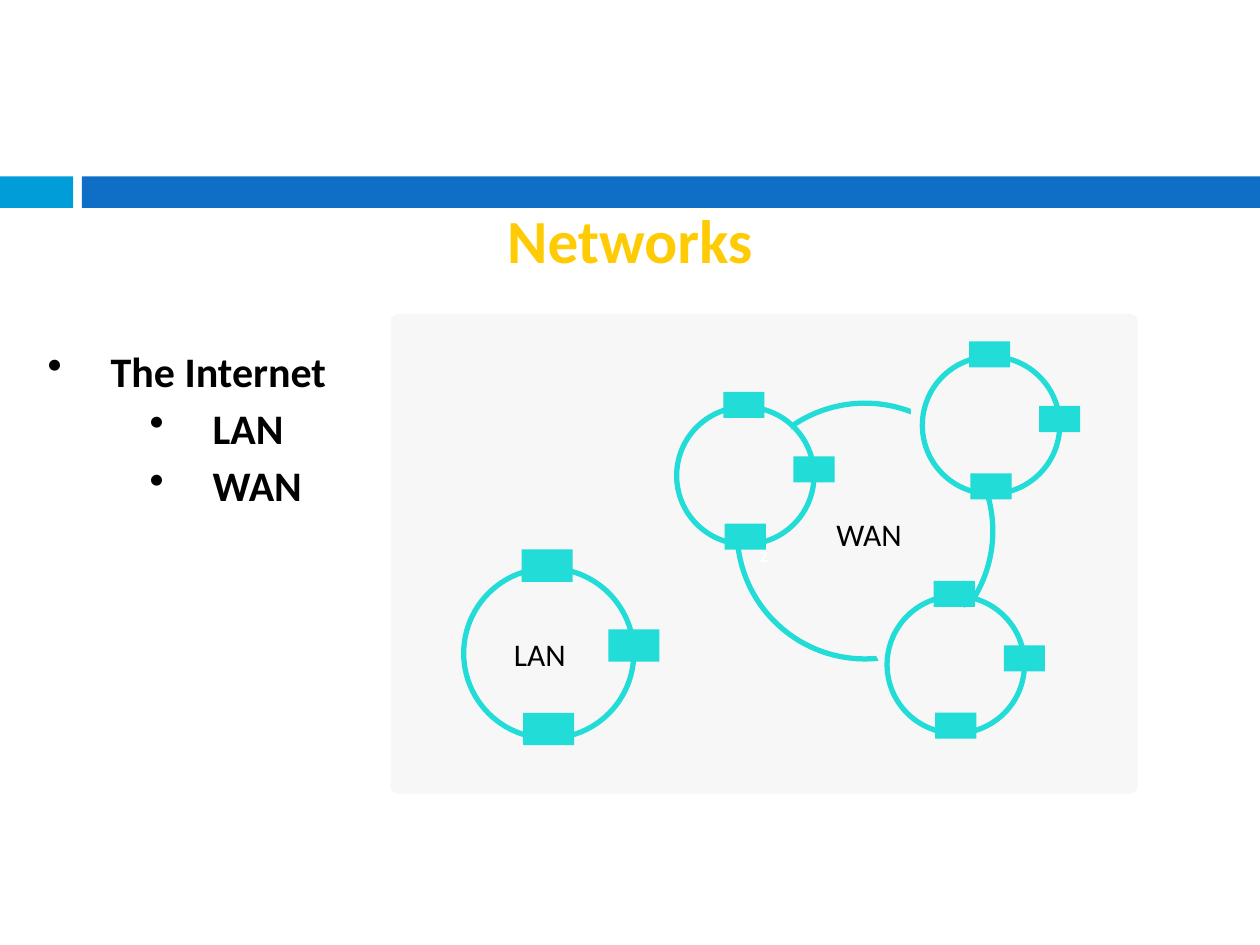
import pptx
import pptx.dml.color
import pptx.enum.shapes
import pptx.enum.text
import pptx.util
from lxml import etree
from pptx.dml.color import RGBColor
from pptx.util import Inches

SKY = RGBColor(0x00, 0x9D, 0xD9)
BLUE = RGBColor(0x0F, 0x6F, 0xC6)
GOLD = RGBColor(0xFF, 0xCB, 0x05)
PANEL = RGBColor(0xF7, 0xF7, 0xF7)
TURQUOISE = RGBColor(0x22, 0xDC, 0xD7)
BLACK = RGBColor(0x00, 0x00, 0x00)
WHITE = RGBColor(0xFF, 0xFF, 0xFF)

SHAPE = pptx.enum.shapes.MSO_SHAPE
ALIGN = pptx.enum.text.PP_ALIGN
ANCHOR = pptx.enum.text.MSO_ANCHOR


class NetworkSlide:
    """Draws styled elements on the current slide."""

    font_name = "Calibri"
    node_offsets = ((0.34, -0.11), (0.35, 0.85), (0.85, 0.36))
    node_size = (0.3, 0.19)

    def __init__(self, slide):
        self.slide = slide

    def style(self, paragraph, size, color, bold=False):
        for run in paragraph.runs:
            run.font.name = self.font_name
            run.font.size = pptx.util.Pt(size)
            run.font.bold = bold
            run.font.color.rgb = color

    def shape(self, kind, left, top, width, height, fill=None):
        shape = self.slide.shapes.add_shape(
            kind, Inches(left), Inches(top), Inches(width), Inches(height))
        shape.shadow.inherit = False
        shape.line.fill.background()
        if fill is None:
            shape.fill.background()
        else:
            shape.fill.solid()
            shape.fill.fore_color.rgb = fill
        return shape

    def bar(self, left, top, width, height, fill):
        return self.shape(SHAPE.RECTANGLE, left, top, width, height, fill)

    def panel(self, left, top, width, height, rotation=0):
        shape = self.shape(SHAPE.ROUNDED_RECTANGLE, left, top, width, height, PANEL)
        shape.adjustments[0] = 0.016
        shape.rotation = rotation
        return shape

    def circle(self, left, top, diameter):
        shape = self.shape(SHAPE.OVAL, left, top, diameter, diameter)
        shape.line.color.rgb = TURQUOISE
        shape.line.width = pptx.util.Pt(3)

    def ring(self, left, top, diameter):
        self.circle(left, top, diameter)
        width, height = (diameter * part for part in self.node_size)
        for across, down in self.node_offsets:
            self.bar(left + across * diameter, top + down * diameter,
                     width, height, TURQUOISE)

    def text(self, text, left, top, width, height, size, color, bold=False,
             align=ALIGN.LEFT, anchor=ANCHOR.TOP, wrap=True):
        box = self.slide.shapes.add_textbox(
            Inches(left), Inches(top), Inches(width), Inches(height))
        text_frame = box.text_frame
        text_frame.word_wrap = wrap
        text_frame.vertical_anchor = anchor
        text_frame.text = text
        for paragraph in text_frame.paragraphs:
            paragraph.alignment = align
            self.style(paragraph, size, color, bold)
        return text_frame

    def bullets(self, items, left, top, width, height):
        text_frame = self.text("\n".join(label for label, _, _ in items),
                               left, top, width, height, 24, BLACK, bold=True)
        for index, (_, level, margin) in enumerate(items):
            paragraph = text_frame.paragraphs[index]
            paragraph.level = level
            if index:
                paragraph.space_before = pptx.util.Pt(4)
            properties = paragraph._p.get_or_add_pPr()
            properties.set("marL", str(Inches(margin)))
            properties.set("indent", str(Inches(-0.5)))
            bullet = etree.SubElement(properties, pptx.oxml.ns.qn("a:buChar"))
            bullet.set("char", "•")


def main():
    presentation = pptx.Presentation()
    presentation.slide_width = Inches(10)
    presentation.slide_height = Inches(7.5)
    slide = presentation.slides.add_slide(presentation.slide_layouts[6])
    network = NetworkSlide(slide)

    network.bar(0, 1.4, 0.58, 0.25, SKY)
    network.bar(0.65, 1.4, 9.35, 0.25, BLUE)
    network.text("Networks", 0, 1.51, 10, 0.77, 35, GOLD, bold=True,
                 align=ALIGN.CENTER, anchor=ANCHOR.MIDDLE)

    diagram = network.panel(3.1, 2.49, 5.93, 3.81)
    diagram.text_frame.text = "z"
    diagram.text_frame.vertical_anchor = ANCHOR.MIDDLE
    paragraph = diagram.text_frame.paragraphs[0]
    paragraph.alignment = ALIGN.CENTER
    network.style(paragraph, 12, WHITE, bold=True)

    network.ring(3.68, 4.51, 1.35)
    network.circle(5.85, 3.2, 2.03)
    network.panel(5.74, 3.37, 0.54, 0.87)
    network.panel(7.23, 3.14, 0.66, 0.76)
    network.ring(5.37, 3.23, 1.09)
    network.ring(7.32, 2.83, 1.09)
    network.panel(7, 4.95, 0.92, 0.47, rotation=333.2)
    network.ring(7.04, 4.73, 1.09)

    network.text("LAN", 3.98, 4.99, 0.75, 0.4, 18, BLACK, wrap=False)
    network.text("WAN", 6.54, 4.04, 0.85, 0.4, 18, BLACK, wrap=False)
    network.bullets([("The Internet", 0, 0.5), ("LAN", 1, 1.31), ("WAN", 1, 1.31)],
                    0.28, 2.69, 2.82, 1.55)

    presentation.save("out.pptx")


if __name__ == "__main__":
    main()
